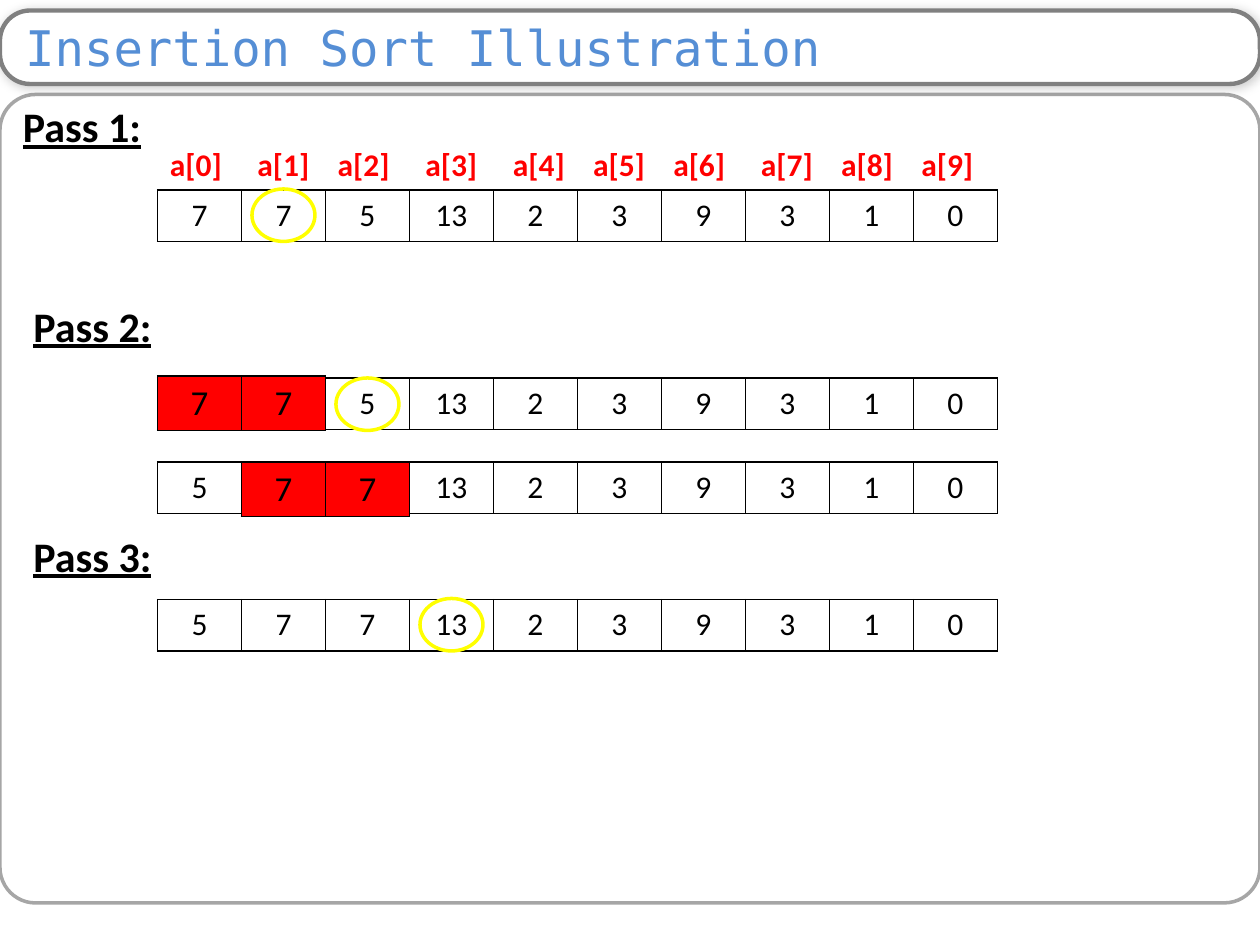
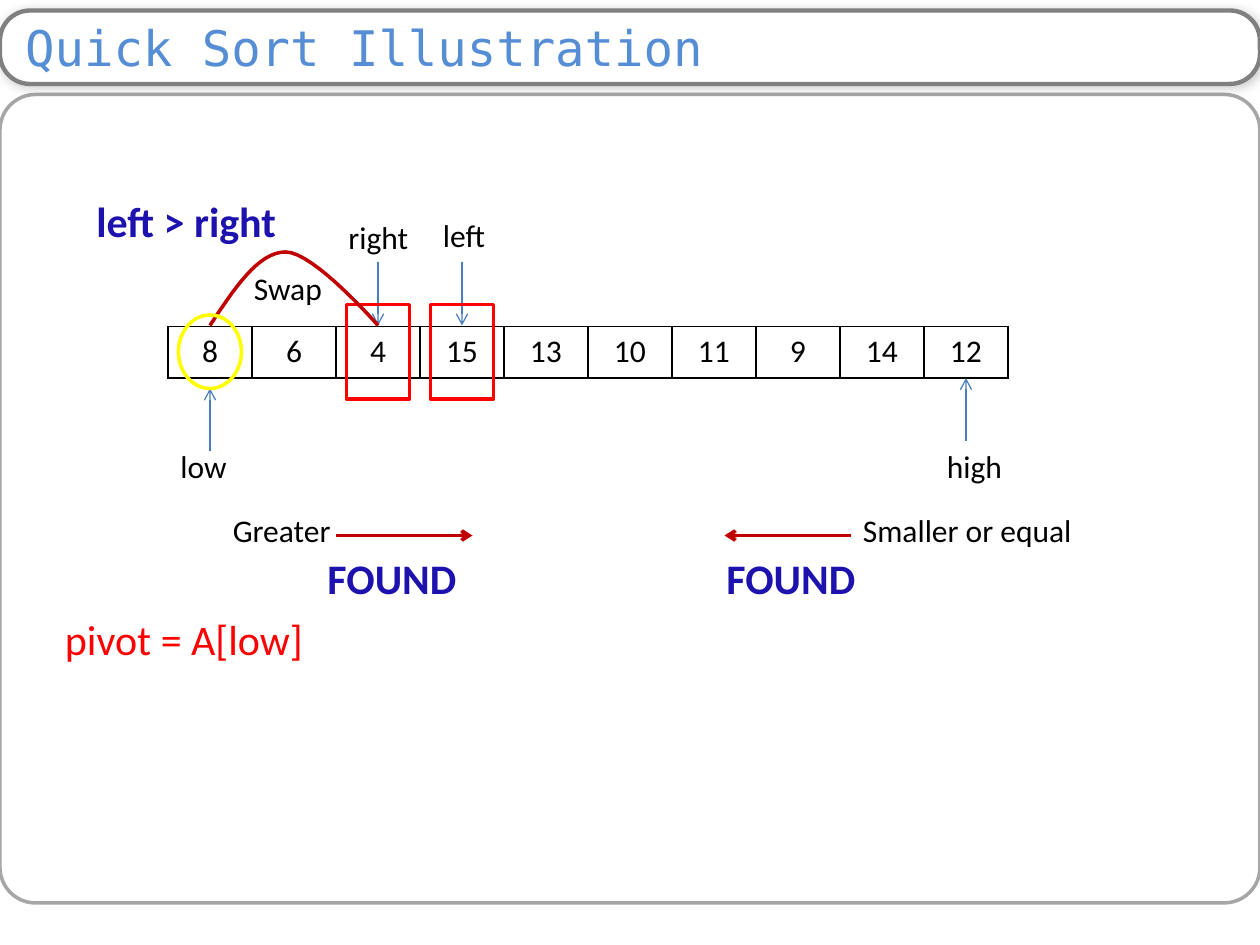
from dataclasses import dataclass
from itertools import accumulate

from lxml.etree import SubElement
from pptx import Presentation
from pptx.dml.color import RGBColor
from pptx.enum.shapes import MSO_CONNECTOR, MSO_SHAPE
from pptx.enum.text import MSO_ANCHOR, MSO_AUTO_SIZE, PP_ALIGN
from pptx.oxml import parse_xml
from pptx.oxml.ns import nsdecls, qn
from pptx.util import Inches, Pt

COLUMNS, ROWS = 120, 90
CELL = 8
CELL_HEIGHT = 4.92
TITLE_ONLY = 5


@dataclass(frozen=True)
class Theme:
    body_font: str = "Calibri"
    title_font: str = "DejaVu Sans Mono"
    title_size: int = 28
    heading_size: int = 24
    moved_size: int = 20
    body_size: int = 18
    title: str = "558ED5"
    text: str = "000000"
    white: str = "FFFFFF"
    title_border: str = "808080"
    panel_border: str = "A6A6A6"
    red: str = "FF0000"
    ring: str = "FFFF00"
    found: str = "1D12AE"
    pointer: str = "4B7EBC"
    swap: str = "C00000"


THEME = Theme()


def rgb(value):
    return RGBColor.from_string(value)


def write_text(frame, text, *, size=THEME.body_size, color=THEME.text,
               font=THEME.body_font, bold=False, underline=False,
               align=PP_ALIGN.LEFT):
    paragraph = frame.paragraphs[0]
    paragraph.alignment = align
    run = paragraph.add_run()
    run.text = text
    run.font.name = font
    run.font.size = Pt(size)
    run.font.bold = bold
    run.font.underline = underline
    run.font.color.rgb = rgb(color)
    return paragraph


def border_cell(cell, color, width):
    properties = cell._tc.get_or_add_tcPr()
    for position, side in enumerate(("lnL", "lnR", "lnT", "lnB")):
        properties.insert(position, parse_xml(
            f'<a:{side} {nsdecls("a")} w="{Pt(width)}"><a:solidFill>'
            f'<a:srgbClr val="{color}"/></a:solidFill></a:{side}>'))


def bezier(start, first, second, end, steps=16):
    """Return the points after start along a cubic curve."""
    points = []
    for step in range(1, steps + 1):
        t = step / steps
        weights = ((1 - t) ** 3, 3 * t * (1 - t) ** 2, 3 * t * t * (1 - t), t ** 3)
        corners = (start, first, second, end)
        points.append(tuple(sum(weight * corner[axis]
                                for weight, corner in zip(weights, corners))
                            for axis in (0, 1)))
    return points


class SortingDeck:
    """Draws on the current slide; all lengths are grid columns and rows."""

    def __init__(self, theme):
        self.theme = theme
        self.presentation = Presentation()
        self.presentation.slide_width = Inches(10)
        self.presentation.slide_height = Inches(7.5)
        self.slide = None

    def x(self, columns):
        return round(self.presentation.slide_width * columns / COLUMNS)

    def y(self, rows):
        return round(self.presentation.slide_height * rows / ROWS)

    def box(self, left, top, width, height):
        return self.x(left), self.y(top), self.x(width), self.y(height)

    def start_slide(self, title):
        theme = self.theme
        layout = self.presentation.slide_layouts[TITLE_ONLY]
        self.slide = self.presentation.slides.add_slide(layout)
        panel = self.outline(MSO_SHAPE.ROUNDED_RECTANGLE, (0, 9, COLUMNS, 77),
                             theme.panel_border)
        panel.adjustments[0] = 0.044
        band_area = (0, 1, COLUMNS, 7)
        band = self.outline(MSO_SHAPE.ROUNDED_RECTANGLE, band_area,
                            theme.title_border, width=2.5, fill=theme.white)
        band.adjustments[0] = 0.409
        self.add_shadow(band)

        placeholder = self.slide.shapes.title
        placeholder.left, placeholder.top, placeholder.width, placeholder.height = \
            self.box(*band_area)
        frame = placeholder.text_frame
        frame.auto_size = MSO_AUTO_SIZE.NONE
        frame.vertical_anchor = MSO_ANCHOR.MIDDLE
        frame.margin_left, frame.margin_right = Inches(0.2), Inches(0.1)
        frame.margin_top = frame.margin_bottom = 0
        write_text(frame, title, size=theme.title_size, color=theme.title,
                   font=theme.title_font)
        # The title stands in front of its band.
        tree = placeholder._element.getparent()
        tree.append(placeholder._element)

    def add_shadow(self, shape):
        effects = shape._element.spPr.find(qn("a:effectLst"))
        effects.append(parse_xml(
            f'<a:outerShdw {nsdecls("a")} blurRad="{Pt(6)}" dist="{Pt(1)}" '
            'dir="2700000"><a:srgbClr val="000000"><a:alpha val="20000"/>'
            '</a:srgbClr></a:outerShdw>'))

    def outline(self, kind, area, color, width=2, fill=None):
        shape = self.slide.shapes.add_shape(kind, *self.box(*area))
        return self.style_outline(shape, color, width, fill)

    def style_outline(self, shape, color, width=2, fill=None):
        shape.shadow.inherit = False
        if fill:
            shape.fill.solid()
            shape.fill.fore_color.rgb = rgb(fill)
        else:
            shape.fill.background()
        shape.line.color.rgb = rgb(color)
        shape.line.width = Pt(width)
        return shape

    def mark_cell(self, kind, array_left, index, top, height, color):
        """Outline one array cell with a mark centred on it."""
        left = array_left + index * CELL + 1
        return self.outline(kind, (left, top, CELL - 2, height), color)

    def label(self, text, left, top, width, size=THEME.body_size, **text_format):
        height = 0.2 * size + 1.2
        text_box = self.slide.shapes.add_textbox(*self.box(left, top, width, height))
        frame = text_box.text_frame
        frame.word_wrap = True
        frame.auto_size = MSO_AUTO_SIZE.SHAPE_TO_FIT_TEXT
        write_text(frame, text, size=size, **text_format)
        return text_box

    def heading(self, text, left, top, width, **text_format):
        return self.label(text, left, top, width, size=self.theme.heading_size,
                          **text_format)

    def index_labels(self, left, top):
        text_box = self.label("\t".join(f"a[{index}]" for index in range(10)),
                              left, top, 10 * CELL, color=self.theme.red, bold=True)
        paragraph = text_box.text_frame.paragraphs[0]
        tabs = SubElement(paragraph._p.get_or_add_pPr(), qn("a:tabLst"))
        wide, narrow = 8.34, 7.64
        gaps = (wide, narrow, wide, wide, narrow, narrow, wide, narrow, narrow)
        for stop in accumulate(gaps):
            SubElement(tabs, qn("a:tab"), pos=str(self.x(stop)), algn="l")

    def array(self, values, left, top, height=CELL_HEIGHT, size=THEME.body_size,
              fill=None):
        area = self.box(left, top, len(values) * CELL, height)
        table = self.slide.shapes.add_table(1, len(values), *area).table
        table.first_row = table.horz_banding = False
        for column, cell, value in zip(table.columns, table.rows[0].cells, values):
            column.width = self.x(CELL)
            if fill:
                cell.fill.solid()
                cell.fill.fore_color.rgb = rgb(fill)
            else:
                cell.fill.background()
            border_cell(cell, self.theme.text, 1)
            write_text(cell.text_frame, str(value), size=size, align=PP_ALIGN.CENTER)

    def moved_values(self, values, left, top):
        self.array(values, left, top, height=5.2, size=self.theme.moved_size,
                   fill=self.theme.red)

    def arrow(self, start, end, color, width):
        connector = self.slide.shapes.add_connector(
            MSO_CONNECTOR.STRAIGHT, self.x(start[0]), self.y(start[1]),
            self.x(end[0]), self.y(end[1]))
        connector.line.color.rgb = rgb(color)
        connector.line.width = Pt(width)
        SubElement(connector.line._get_or_add_ln(), qn("a:tailEnd"), type="arrow")
        SubElement(connector._element.spPr, qn("a:effectLst"))
        return connector

    def pointer(self, column, start, end):
        return self.arrow((column, start), (column, end), self.theme.pointer, 0.75)

    def curve(self, start, segments, color):
        points, position = [], start
        for segment in segments:
            points += bezier(position, *segment)
            position = segment[-1]
        builder = self.slide.shapes.build_freeform(self.x(start[0]), self.y(start[1]))
        builder.add_line_segments([(self.x(column), self.y(row))
                                   for column, row in points], close=False)
        return self.style_outline(builder.convert_to_shape(), color)


def draw_insertion_sort(deck):
    theme = deck.theme
    left = 15
    unsorted_tail = [13, 2, 3, 9, 3, 1, 0]
    deck.start_slide("Insertion Sort Illustration")
    for number, column, row in ((1, 1, 9), (2, 2, 28), (3, 2, 49.9)):
        deck.heading(f"Pass {number}:", column, row, 21, bold=True, underline=True)
    deck.index_labels(left, 13.2)

    # Leading values, table row, and the index of the value being inserted.
    steps = (([7, 7, 5], 18.1, 1), ([7, 7, 5], 36, 2),
             ([5, 7, 7], 44, None), ([5, 7, 7], 57.1, 3))
    for head, row, current in steps:
        deck.array(head + unsorted_tail, left, row)
        if current is not None:
            deck.mark_cell(MSO_SHAPE.OVAL, left, current, round(row), 5, theme.ring)
    deck.moved_values([7, 7], left, 35.8)
    deck.moved_values([7, 7], left + CELL, 44)


def draw_quick_sort(deck):
    theme = deck.theme
    left = 16
    deck.start_slide("Quick Sort Illustration")
    deck.array([8, 6, 4, 15, 13, 10, 11, 9, 14, 12], left, 31.1)

    def centre(index):
        return left + (index + 0.5) * CELL

    deck.pointer(centre(0), 43, 37)
    deck.pointer(centre(9), 42, 36)
    deck.label("low", 16, 42, 9)
    deck.label("high", 89, 42, 9)
    for text, index, column, row in (("right", 2, 32, 20.2), ("left", 3, 41, 20)):
        deck.slide.shapes.add_group_shape([deck.pointer(centre(index), 25, 31),
                                           deck.label(text, column, row, 9)])
        deck.mark_cell(MSO_SHAPE.RECTANGLE, left, index, 29, 9, theme.red)

    deck.heading("pivot = A[low]", 5, 57.8, 32, color=theme.red)
    deck.label("Greater", 21, 48.1, 12)
    deck.label("Smaller or equal", 81, 48.1, 28)
    for start, end, found in ((32, 45, 30), (81, 69, 68)):
        deck.arrow((start, 51), (end, 51), theme.swap, 2)
        deck.heading("FOUND", found, 52, 15, color=theme.found, bold=True)

    deck.curve((centre(0), 31), [((22.3, 27.5), (24.6, 24), (27.2, 24)),
                                 ((29.9, 24), (centre(2), 31), (centre(2), 31))],
               theme.swap)
    deck.mark_cell(MSO_SHAPE.OVAL, left, 0, 30, 7, theme.ring)
    deck.heading("left > right", 8, 18, 26, color=theme.found, bold=True)
    deck.label("Swap", 23, 25, 9)


def main():
    deck = SortingDeck(THEME)
    draw_insertion_sort(deck)
    draw_quick_sort(deck)
    deck.presentation.save("out.pptx")


if __name__ == "__main__":
    main()
